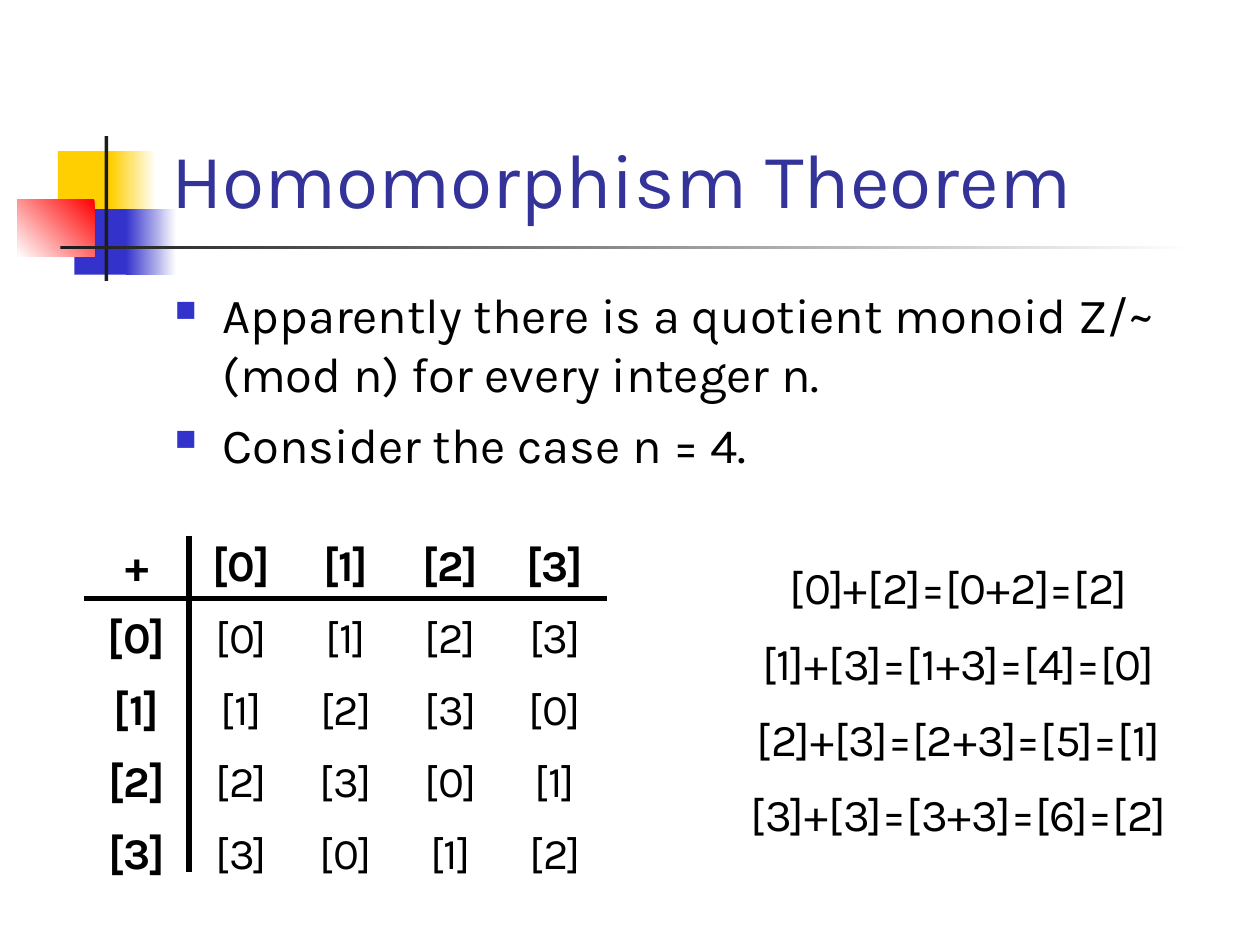
"""Build the Homomorphism Theorem slide with its addition table modulo 4."""
from lxml import etree
from pptx import Presentation
from pptx.dml.color import RGBColor
from pptx.enum.shapes import MSO_CONNECTOR, MSO_SHAPE
from pptx.enum.text import MSO_ANCHOR, PP_ALIGN
from pptx.oxml.ns import qn
from pptx.util import Inches, Pt

RECTANGLE = MSO_SHAPE.RECTANGLE
STRAIGHT = MSO_CONNECTOR.STRAIGHT
BOTTOM, TOP = MSO_ANCHOR.BOTTOM, MSO_ANCHOR.TOP
LEFT, CENTER = PP_ALIGN.LEFT, PP_ALIGN.CENTER

TITLE = "Homomorphism Theorem"
BULLETS = [
    "Apparently there is a quotient monoid Z/~ (mod n) for every integer n.",
    "Consider the case n = 4.",
]
MODULUS = 4
SUMS = [
    "[0]+[2]=[0+2]=[2]",
    "[1]+[3]=[1+3]=[4]=[0]",
    "[2]+[3]=[2+3]=[5]=[1]",
    "[3]+[3]=[3+3]=[6]=[2]",
]
COLORS = {
    "yellow": "FFCF01", "blue": "3333CC", "red": "FF0000", "dark": "1C1C1C",
    "white": "FFFFFF", "title": "333399", "text": "000000",
}
FONT = "Karla"
FADE_RIGHT, FADE_DOWN_LEFT = 0, 225
ORNAMENTS = [
    ((0.46, 1.2, 0.48, 0.52), "yellow", None),
    ((0.88, 1.2, 0.36, 0.52), "yellow", FADE_RIGHT),
    ((0.59, 1.66, 0.46, 0.52), "blue", None),
    ((1, 1.66, 0.4, 0.52), "blue", FADE_RIGHT),
    ((0.14, 1.58, 0.61, 0.46), "red", FADE_DOWN_LEFT),
    ((0.83, 1.08, 0.03, 1.15), "dark", None),
    ((0.48, 1.95, 9, 0.03), "dark", FADE_RIGHT),
]
TITLE_BOX = (1.26, 0.23, 8.52, 1.6)
BODY_BOX = (1.29, 2.21, 8.04, 1.79)
GRID_LEFT, GRID_TOP, GRID_COLUMN, GRID_ROW = 0.67, 4.25, 0.83, 0.57
SUMS_LEFT, SUMS_TOP, SUMS_COLUMN, SUMS_ROW = 5.42, 4.42, 4.38, 0.6
RULES = [
    (GRID_LEFT + GRID_COLUMN, GRID_TOP, GRID_LEFT + GRID_COLUMN, 6.92),
    (GRID_LEFT, 4.75, GRID_LEFT + 5 * GRID_COLUMN, 4.75),
]


def rgb(name):
    return RGBColor.from_string(COLORS[name])


def inches(values):
    return [Inches(value) for value in values]


def write(para, text, size, color="text", bold=False, align=LEFT, before=0):
    para.alignment = align
    para.space_before = Pt(before)
    span = para.add_run()
    span.text = text
    for name, value in {"name": FONT, "size": Pt(size), "bold": bold}.items():
        setattr(span.font, name, value)
    span.font.color.rgb = rgb(color)


def add_ornament(page, place, color, angle):
    box = page.shapes.add_shape(RECTANGLE, *inches(place))
    box.shadow.inherit = False
    box.line.fill.background()
    if angle is None:
        box.fill.solid()
        box.fill.fore_color.rgb = rgb(color)
        return
    box.fill.gradient()
    box.fill.gradient_angle = angle
    for stop, name in zip(box.fill.gradient_stops, (color, "white")):
        stop.color.rgb = rgb(name)


def add_box(page, place, anchor):
    frame = page.shapes.add_textbox(*inches(place)).text_frame
    frame.word_wrap = True
    frame.vertical_anchor = anchor
    return frame


def add_bullet(para):
    props = para._p.get_or_add_pPr()
    props.set("marL", str(Inches(0.38)))
    props.set("indent", str(-Inches(0.38)))
    color = etree.SubElement(props, qn("a:buClr"))
    etree.SubElement(color, qn("a:srgbClr"), val=COLORS["blue"])
    etree.SubElement(props, qn("a:buSzPct"), val="60000")
    etree.SubElement(props, qn("a:buChar"), char="■")


def add_grid(page, rows, left, top, column, row, size, before, headed):
    width, height = column * len(rows[0]), row * len(rows)
    place = inches((left, top, width, height))
    table = page.shapes.add_table(len(rows), len(rows[0]), *place).table
    table.first_row = table.horz_banding = False
    for r, texts in enumerate(rows):
        for c, text in enumerate(texts):
            cell = table.cell(r, c)
            cell.fill.background()
            cell.vertical_anchor = TOP
            bold = headed and 0 in (r, c)
            write(cell.text_frame.paragraphs[0], text, size,
                  bold=bold, align=CENTER, before=before)


def add_rule(page, ends):
    rule = page.shapes.add_connector(STRAIGHT, *inches(ends))
    rule.line.color.rgb = rgb("text")
    rule.line.width = Pt(3)
    etree.SubElement(rule._element.spPr, qn("a:effectLst"))


def main():
    deck = Presentation()
    deck.slide_width, deck.slide_height = inches((10, 7.5))
    page = deck.slides.add_slide(deck.slide_layouts[6])
    for place, color, angle in ORNAMENTS:
        add_ornament(page, place, color, angle)

    write(add_box(page, TITLE_BOX, BOTTOM).paragraphs[0], TITLE, 44, "title")
    body = add_box(page, BODY_BOX, TOP)
    for index, text in enumerate(BULLETS):
        para = body.add_paragraph() if index else body.paragraphs[0]
        write(para, text, 28, before=7)
        add_bullet(para)

    classes = [f"[{number}]" for number in range(MODULUS)]
    addition = [["+"] + classes]
    for r, name in enumerate(classes):
        addition.append([name] + classes[r:] + classes[:r])
    add_grid(page, addition, GRID_LEFT, GRID_TOP, GRID_COLUMN, GRID_ROW,
             25, 6.2, True)
    for ends in RULES:
        add_rule(page, ends)
    add_grid(page, [[text] for text in SUMS], SUMS_LEFT, SUMS_TOP,
             SUMS_COLUMN, SUMS_ROW, 26, 6.5, False)
    deck.save("out.pptx")


if __name__ == "__main__":
    main()
